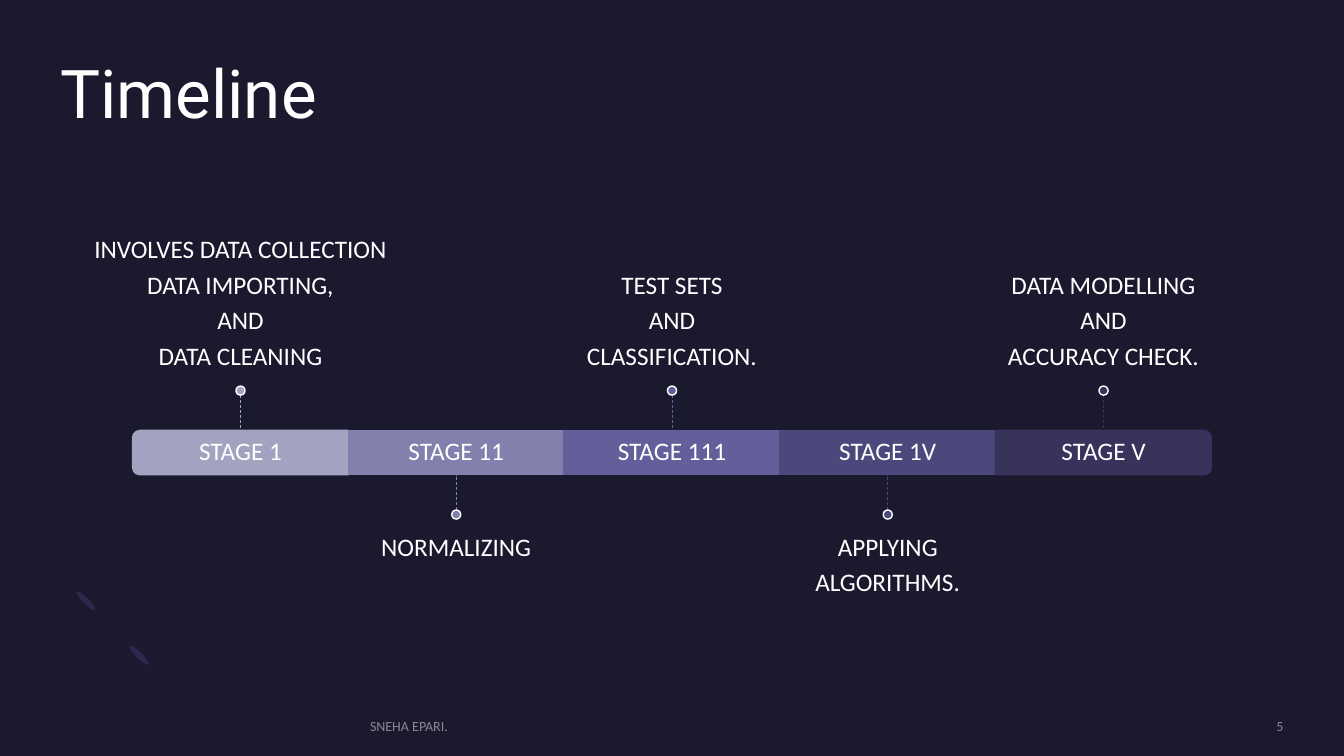
from dataclasses import dataclass

from lxml import etree
from pptx import Presentation
from pptx.dml.color import RGBColor
from pptx.enum.dml import MSO_LINE
from pptx.enum.shapes import MSO_CONNECTOR, MSO_SHAPE
from pptx.enum.text import MSO_ANCHOR, PP_ALIGN
from pptx.oxml.ns import qn
from pptx.util import Inches, Pt

LEFT, CENTER, RIGHT = PP_ALIGN.LEFT, PP_ALIGN.CENTER, PP_ALIGN.RIGHT
TOP, MIDDLE, BOTTOM = MSO_ANCHOR.TOP, MSO_ANCHOR.MIDDLE, MSO_ANCHOR.BOTTOM
RECTANGLE, OVAL = MSO_SHAPE.RECTANGLE, MSO_SHAPE.OVAL
ROUNDED_END = MSO_SHAPE.ROUND_2_SAME_RECTANGLE
STRAIGHT, DASH = MSO_CONNECTOR.STRAIGHT, MSO_LINE.DASH
TOP_SITE, BOTTOM_SITE = 0, 2


@dataclass(frozen=True)
class Theme:
    background: str = "1B192E"
    text: str = "FFFFFF"
    muted: str = "A6A6A6"
    petal: str = "2C284A"
    arc: str = "7771B2"
    stages: tuple = ("A3A3C1", "8281AE", "625F9A", "4C487B", "37335B")
    heading_font: str = "Roboto"
    body_font: str = "Calibri"
    title_size: int = 48
    body_size: int = 18
    footer_size: int = 10


THEME = Theme()

# Slide and timeline grid, in inches
SLIDE_W, SLIDE_H = 13.33, 7.5
MARGIN = 0.6
CONTENT_W = SLIDE_W - 2 * MARGIN
COLUMN = 2.14
BAR_TOP, BAR_H = 4.27, 0.44
STEM, DOT = 0.35, 0.09
LABEL_W, LABEL_H = 3.57, 1.52
INSET = 0.15
FOOTER_TOP, FOOTER_H = 7.12, 0.17

STAGES = [
    ("STAGE 1", ["INVOLVES DATA COLLECTION", "DATA IMPORTING,", "AND", "DATA CLEANING"]),
    ("STAGE 11", ["NORMALIZING"]),
    ("STAGE 111", ["TEST SETS", "AND", "CLASSIFICATION."]),
    ("STAGE 1V", ["APPLYING", "ALGORITHMS."]),
    ("STAGE V", ["DATA MODELLING", "AND", "ACCURACY CHECK."]),
]
TIMELINE_LEFT = (SLIDE_W - len(STAGES) * COLUMN) / 2


def set_alpha(fill, percent):
    color = fill._xPr.find(qn("a:solidFill"))[0]
    etree.SubElement(color, qn("a:alpha"), val=str(percent * 1000))


def add_text(slide, text, box, size=THEME.body_size, font=THEME.body_font,
             color=THEME.text, align=CENTER, anchor=MIDDLE, insets=(0, 0, 0, 0),
             line_spacing=0.9, space_after=6, alpha=None):
    frame = slide.shapes.add_textbox(*map(Inches, box)).text_frame
    frame.word_wrap = True
    frame.vertical_anchor = anchor
    (frame.margin_left, frame.margin_top,
     frame.margin_right, frame.margin_bottom) = map(Inches, insets)
    lines = [text] if isinstance(text, str) else text
    for number, line in enumerate(lines):
        paragraph = frame.add_paragraph() if number else frame.paragraphs[0]
        paragraph.alignment = align
        paragraph.line_spacing = line_spacing
        paragraph.space_after = Pt(space_after)
        run = paragraph.add_run()
        run.text = line
        run.font.size, run.font.name = Pt(size), font
        run.font.color.rgb = RGBColor.from_string(color)
        if alpha:
            set_alpha(run.font.fill, alpha)


def add_block(slide, preset, center, width, height, fill, line=None, rotation=0):
    x, y = center
    block = slide.shapes.add_shape(preset, Inches(x - width / 2), Inches(y - height / 2),
                                   Inches(width), Inches(height))
    block.shadow.inherit = False
    block.rotation = rotation
    block.fill.solid()
    block.fill.fore_color.rgb = RGBColor.from_string(fill)
    if line:
        block.line.color.rgb = RGBColor.from_string(line)
        block.line.width = Pt(1)
    else:
        block.line.fill.background()
    return block


def add_stem(slide, x, dot_edge, bar_edge, color):
    stem = slide.shapes.add_connector(STRAIGHT, *map(Inches, (x, dot_edge, x, bar_edge)))
    stem.line.color.rgb = RGBColor.from_string(color)
    stem.line.width = Pt(0.5)
    stem.line.dash_style = DASH
    etree.SubElement(stem._element.spPr, qn("a:effectLst"))
    return stem


def bezier(start, first, second, end, steps=16):
    for step in range(1, steps + 1):
        t = step / steps
        weights = ((1 - t) ** 3, 3 * t * (1 - t) ** 2, 3 * t ** 2 * (1 - t), t ** 3)
        yield tuple(sum(w * point[axis] for w, point in zip(weights, (start, first, second, end)))
                    for axis in (0, 1))


def add_ornament(slide):
    for center in ((1.38, 6.5), (0.85, 5.96)):
        add_block(slide, OVAL, center, 0.06, 0.26, THEME.petal, rotation=135)
    # Faint open ring between the petals
    start = (0.76, 6.59)
    outline = [
        *bezier(start, (0.56, 6.39), (0.58, 6.05), (0.81, 5.82)),
        *bezier((0.99, 6), (0.87, 6.11), (0.86, 6.29), (0.96, 6.38)),
        *bezier((0.96, 6.38), (1.06, 6.48), (1.23, 6.47), (1.35, 6.36)),
        *bezier((1.52, 6.54), (1.3, 6.76), (0.95, 6.79), start),
    ]
    # Each curve starts where the previous straight edge ends
    outline.insert(16, (0.99, 6))
    outline.insert(49, (1.52, 6.54))
    builder = slide.shapes.build_freeform(*start, scale=Inches(1))
    builder.add_line_segments(outline, close=True)
    ring = builder.convert_to_shape()
    ring.shadow.inherit = False
    ring.line.fill.background()
    ring.fill.solid()
    ring.fill.fore_color.rgb = RGBColor.from_string(THEME.arc)
    set_alpha(ring.fill, 2)


def add_stage(slide, index, name, details):
    color = THEME.stages[index]
    left = TIMELINE_LEFT + index * COLUMN
    x = left + COLUMN / 2
    center = (x, BAR_TOP + BAR_H / 2)
    above = index % 2 == 0
    end_rotation = {0: 270, len(STAGES) - 1: 90}.get(index)

    # Bar segment, rounded at both ends of the timeline
    if end_rotation:
        segment = add_block(slide, ROUNDED_END, center, BAR_H, COLUMN, color, color, end_rotation)
    else:
        segment = add_block(slide, RECTANGLE, center, COLUMN, BAR_H, color, color)
    add_text(slide, name, (left, BAR_TOP, COLUMN, BAR_H), insets=(INSET,) * 4)

    # Details, stem and dot alternate above and below the bar
    direction = -1 if above else 1
    bar_edge = BAR_TOP if above else BAR_TOP + BAR_H
    dot_edge = bar_edge + direction * STEM
    label_edge = dot_edge + direction * DOT
    label_top = label_edge - LABEL_H if above else label_edge
    add_text(slide, details, (x - LABEL_W / 2, label_top, LABEL_W, LABEL_H),
             anchor=BOTTOM if above else TOP,
             insets=(0, 0, 0, INSET) if above else (0, INSET, 0, 0))
    stem = add_stem(slide, x, dot_edge, bar_edge, color)
    if not end_rotation:
        stem.end_connect(segment, TOP_SITE if above else BOTTOM_SITE)
    add_block(slide, OVAL, (x, dot_edge + direction * DOT / 2), DOT, DOT, color, THEME.text)


def add_footer(slide, text, left, width, align):
    add_text(slide, text, (left, FOOTER_TOP, width, FOOTER_H), size=THEME.footer_size,
             color=THEME.muted, align=align, line_spacing=1, space_after=0, alpha=80)


def main():
    deck = Presentation()
    deck.slide_width, deck.slide_height = Inches(SLIDE_W), Inches(SLIDE_H)
    slide = deck.slides.add_slide(deck.slide_layouts[6])
    slide.background.fill.solid()
    slide.background.fill.fore_color.rgb = RGBColor.from_string(THEME.background)

    add_ornament(slide)
    add_text(slide, "Timeline", (MARGIN, MARGIN, CONTENT_W, 1.46), size=THEME.title_size,
             font=THEME.heading_font, align=LEFT, anchor=TOP, space_after=0)
    for index, (name, details) in enumerate(STAGES):
        add_stage(slide, index, name, details)
    add_footer(slide, "SNEHA EPARI.", 3.67, 6.98, LEFT)
    add_footer(slide, "5", 10.88, 1.85, RIGHT)
    deck.save("out.pptx")


if __name__ == "__main__":
    main()
